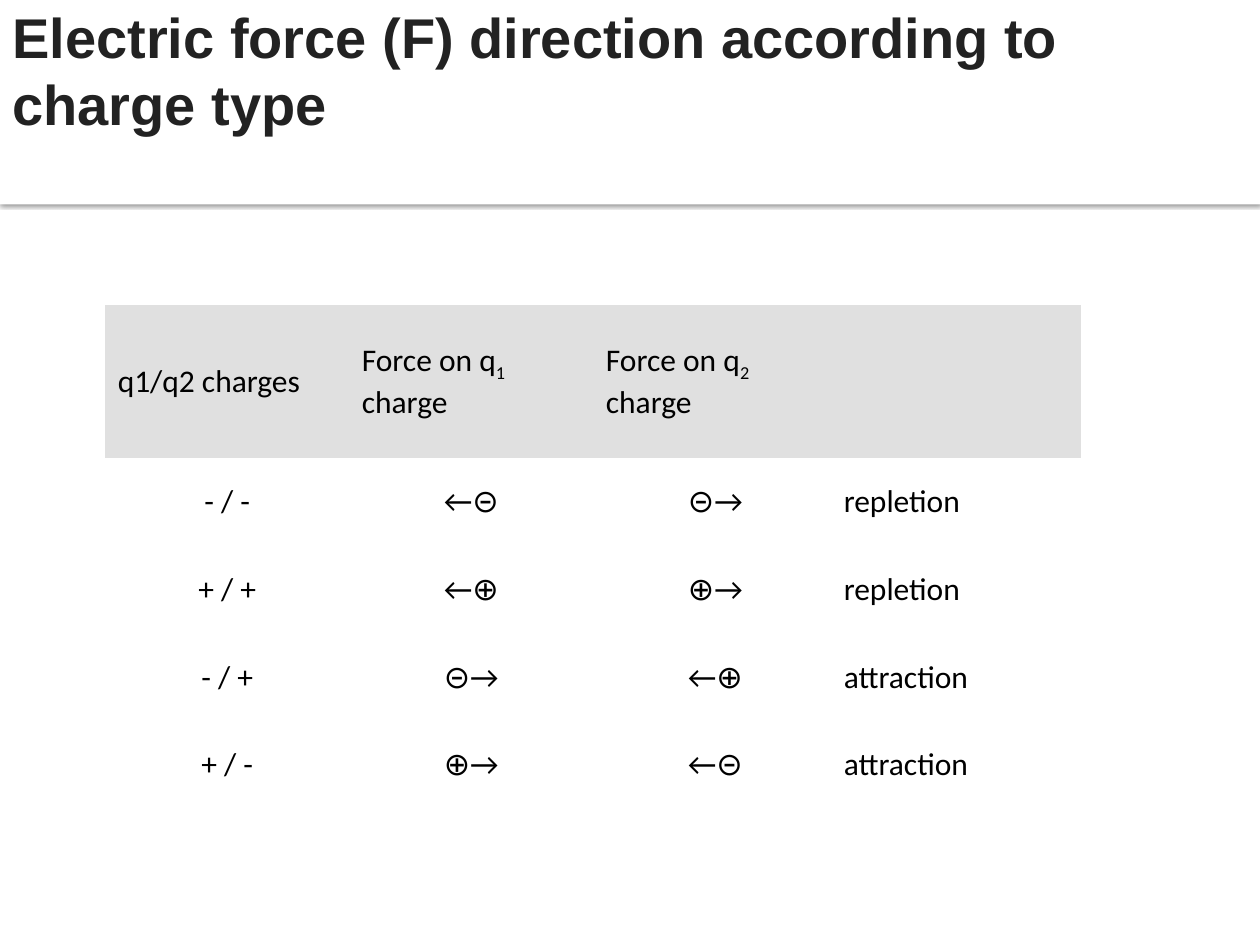
from lxml.etree import SubElement
from pptx import Presentation
from pptx.dml.color import RGBColor
from pptx.enum.shapes import MSO_SHAPE
from pptx.enum.text import MSO_ANCHOR, PP_ALIGN
from pptx.oxml.ns import qn
from pptx.util import Cm, Pt

COLORS = {"white": "FFFFFF", "header": "E0E0E0", "title": "222222", "black": "000000"}
NO_STYLE = "{2D5ABB26-0587-4C30-8999-92F81FD0307C}"
HEADERS = [
    ["q1/q2 charges"],
    ["Force on q", "1", " charge"],
    ["Force on q", "2", " charge"],
    [],
]
ROWS = [
    ["- / -", "←⊝", "⊝→", "repletion"],
    ["+ / +", "←⊕", "⊕→", "repletion"],
    ["- / +", "⊝→", "←⊕", "attraction"],
    ["+ / -", "⊕→", "←⊝", "attraction"],
]


def rgb(name):
    return RGBColor.from_string(COLORS[name])


def write(tf, *parts, font="Calibri", size=18, color="black", bold=False, align=PP_ALIGN.LEFT):
    p = tf.paragraphs[0]
    p.alignment = align
    for part in parts:
        r = p.add_run()
        r.text = part
        r.font.name = font
        r.font.size = Pt(size)
        r.font.bold = bold
        r.font.color.rgb = rgb(color)
        if part.isdigit():
            r._r.get_or_add_rPr().set("baseline", "-25000")


def add_band(s, top, height):
    sp = s.shapes.add_shape(MSO_SHAPE.RECTANGLE, 0, Cm(top), Cm(25.4), Cm(height))
    sp.shadow.inherit = False
    sp.fill.solid()
    sp.fill.fore_color.rgb = rgb("white")
    sp.line.fill.background()
    return sp


def add_shadow(sp):
    effects = sp._element.spPr.find(qn("a:effectLst"))
    shadow = SubElement(effects, qn("a:outerShdw"), blurRad=str(Pt(2.5)), dist=str(Pt(0.8)),
                        dir="5400000", algn="ctr", rotWithShape="0")
    color = SubElement(shadow, qn("a:srgbClr"), val=COLORS["black"])
    SubElement(color, qn("a:alpha"), val="60000")


def add_title(s, text):
    sp = add_band(s, 0, 4.06)
    tf = sp.text_frame
    tf.word_wrap = True
    tf.vertical_anchor = MSO_ANCHOR.TOP
    tf.margin_left = tf.margin_right = Cm(0.25)
    tf.margin_top = tf.margin_bottom = Cm(0.05)
    write(tf, text, font="Arial", size=32, color="title", bold=True)


def fill_cell(cell, parts, fill, align=PP_ALIGN.LEFT, margin=None):
    cell.fill.solid()
    cell.fill.fore_color.rgb = rgb(fill)
    cell.vertical_anchor = MSO_ANCHOR.MIDDLE
    if margin is not None:
        cell.margin_left = cell.margin_right = margin
        cell.margin_top = cell.margin_bottom = margin
    write(cell.text_frame, *parts, align=align)


def add_force_table(s):
    frame = s.shapes.add_table(len(ROWS) + 1, len(HEADERS), Cm(2.12), Cm(6.15), Cm(19.68), Cm(10.16))
    table = frame.table
    table.first_row = table.horz_banding = False
    table._tbl.tblPr.find(qn("a:tableStyleId")).text = NO_STYLE
    for column in table.columns:
        column.width = Cm(4.92)
    for i, row in enumerate(table.rows):
        row.height = Cm(1.765 if i else 3.09)
    for j, parts in enumerate(HEADERS):
        fill_cell(table.cell(0, j), parts, "header")
    for i, values in enumerate(ROWS, 1):
        for j, value in enumerate(values):
            align = PP_ALIGN.CENTER if j < 3 else PP_ALIGN.LEFT
            fill_cell(table.cell(i, j), [value], "white", align, Cm(0.13))


def main():
    prs = Presentation()
    prs.slide_width, prs.slide_height = Cm(25.4), Cm(19.05)
    s = prs.slides.add_slide(prs.slide_layouts[6])
    add_shadow(add_band(s, 3.99, 0.13))
    add_force_table(s)
    add_title(s, "Electric force (F) direction according to charge type")
    prs.save("out.pptx")


if __name__ == "__main__":
    main()
